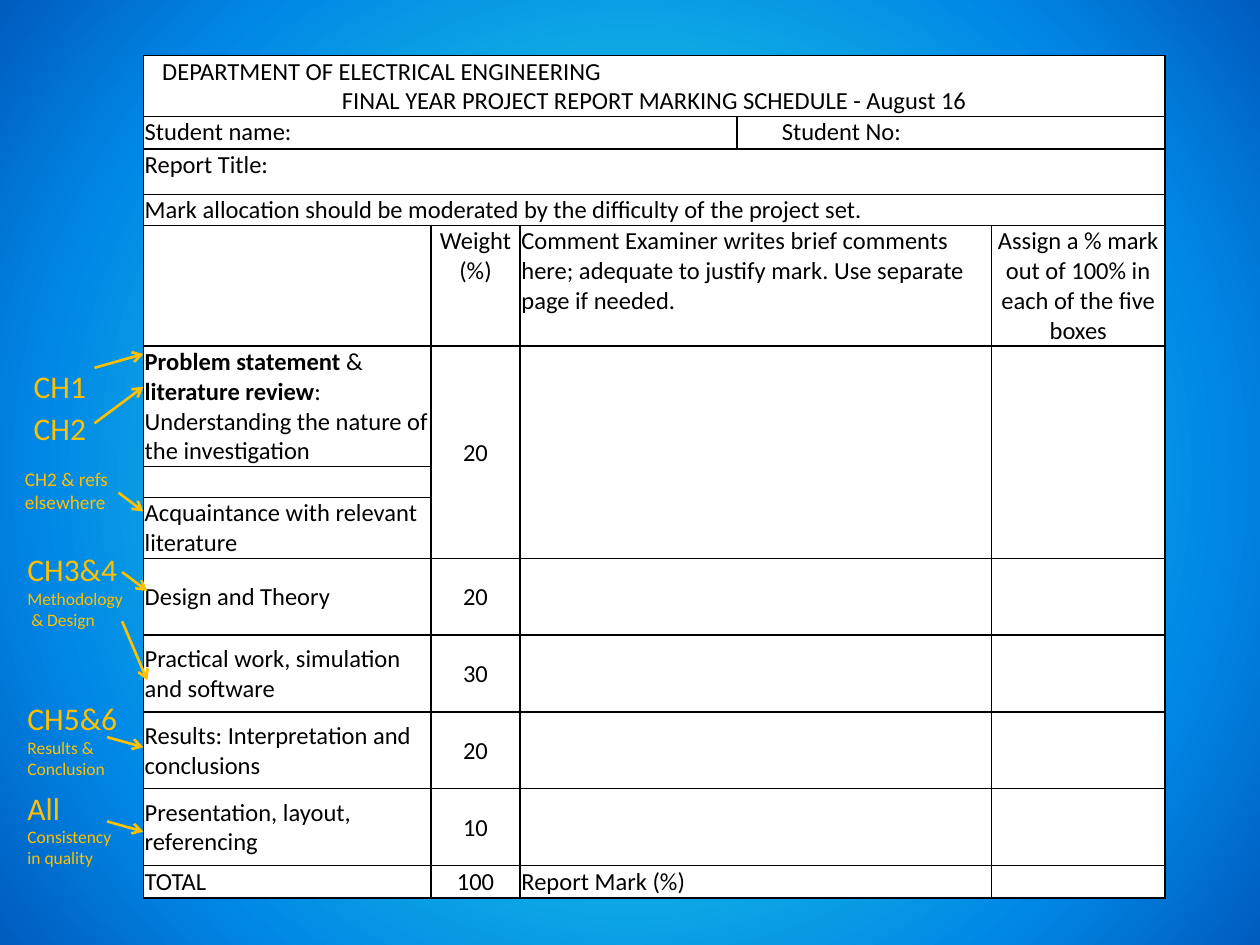
import copy

import lxml.etree
import pptx
import pptx.dml.color
import pptx.enum.shapes
import pptx.enum.text
import pptx.oxml
import pptx.oxml.ns
import pptx.util

Pt = pptx.util.Pt
qn = pptx.oxml.ns.qn
ALIGN = {"l": pptx.enum.text.PP_ALIGN.LEFT, "c": pptx.enum.text.PP_ALIGN.CENTER}
ANCHOR = {
    "t": pptx.enum.text.MSO_ANCHOR.TOP,
    "m": pptx.enum.text.MSO_ANCHOR.MIDDLE,
    "b": pptx.enum.text.MSO_ANCHOR.BOTTOM,
}
COLORS = {"ink": "000000", "paper": "FFFFFF", "note": "FFC000"}
GLOW = [(0, "03D4A8"), (25, "21D6E0"), (75, "0087E6"), (100, "005CBF")]


def tint(name):
    return pptx.dml.color.RGBColor.from_string(COLORS[name])


def write(para, text, size=14, color="ink", bold=False, align="l", indent=0):
    """Add text to a paragraph, with a line break at each newline."""
    para.alignment = ALIGN[align]
    if indent:
        para._p.get_or_add_pPr().set("marL", str(Pt(indent)))
    for i, part in enumerate(text.split("\n")):
        if i:
            para.add_line_break()
            para._p[-1].insert(0, copy.deepcopy(para._p[-2].find(qn("a:rPr"))))
        if part:
            run = para.add_run()
            run.text = part
            run.font.name, run.font.size, run.font.bold = "Calibri", Pt(size), bold
            run.font.color.rgb = tint(color)


class Sheet:
    """Holds the style and the current slide."""

    def __init__(self, deck):
        self.slide = deck.slides.add_slide(deck.slide_layouts[6])
        self.shapes = self.slide.shapes

    def backdrop(self, stops):
        self.slide.background.fill.gradient()
        grad = next(self.slide.element.iter(qn("a:gradFill")))
        for child in list(grad):
            grad.remove(child)
        group = lxml.etree.SubElement(grad, qn("a:gsLst"))
        for spot, color in stops:
            stop = lxml.etree.SubElement(group, qn("a:gs"), pos=str(spot * 1000))
            lxml.etree.SubElement(stop, qn("a:srgbClr"), val=color)
        ring = lxml.etree.SubElement(grad, qn("a:path"), path="circle")
        lxml.etree.SubElement(ring, qn("a:fillToRect"), l="50000", t="50000", r="50000", b="50000")

    def grid(self, left, top, cols, rows):
        frame = self.shapes.add_table(
            len(rows), len(cols), Pt(left), Pt(top), Pt(sum(cols)), Pt(sum(rows)))
        table = frame.table
        table.first_row = table.horz_banding = False
        for col, width in zip(table.columns, cols):
            col.width = Pt(width)
        for row, height in zip(table.rows, rows):
            row.height = Pt(height)
        for cell in table.iter_cells():
            self.dress(cell)
        return table

    def dress(self, cell):
        cell.fill.solid()
        cell.fill.fore_color.rgb = tint("paper")
        cell.margin_left = cell.margin_right = cell.margin_top = Pt(0.7)
        cell.margin_bottom = 0
        props = cell._tc.get_or_add_tcPr()
        for i, side in enumerate("LRTB"):
            edge = lxml.etree.Element(qn("a:ln" + side), w=str(Pt(1)))
            fill = lxml.etree.SubElement(edge, qn("a:solidFill"))
            lxml.etree.SubElement(fill, qn("a:srgbClr"), val=COLORS["ink"])
            props.insert(i, edge)
        para = cell.text_frame.paragraphs[0]._p
        lxml.etree.SubElement(para, qn("a:endParaRPr"), sz="1400")

    def fill(self, cell, *paras, anchor="t"):
        cell.vertical_anchor = ANCHOR[anchor]
        frame = cell.text_frame
        for i, runs in enumerate(paras):
            para = frame.add_paragraph() if i else frame.paragraphs[0]
            for text, form in runs:
                write(para, text, **form)

    def note(self, left, top, width, height, *paras):
        frame = self.shapes.add_textbox(Pt(left), Pt(top), Pt(width), Pt(height)).text_frame
        frame.word_wrap = False
        frame.auto_size = pptx.enum.text.MSO_AUTO_SIZE.SHAPE_TO_FIT_TEXT
        for i, runs in enumerate(paras):
            para = frame.add_paragraph() if i else frame.paragraphs[0]
            for text, size in runs:
                write(para, text, size=size, color="note")

    def arrow(self, *ends):
        line = self.shapes.add_connector(
            pptx.enum.shapes.MSO_CONNECTOR.STRAIGHT, *map(Pt, ends))
        line.line.color.rgb = tint("note")
        line.line.width = Pt(1.5)
        lxml.etree.SubElement(line.line._get_or_add_ln(), qn("a:tailEnd"), type="arrow")
        lxml.etree.SubElement(line._element.spPr, qn("a:effectLst"))


def main():
    deck = pptx.Presentation()
    deck.slide_width, deck.slide_height = Pt(720), Pt(540)
    sheet = Sheet(deck)
    sheet.backdrop(GLOW)

    cols = [164.2, 51.1, 123.8, 145.4, 99.4]
    rows = [27.4, 18.7, 25.9, 13, 37.4, 49.7, 11.5, 20.9] + [43.9] * 4 + [18.7]
    table = sheet.grid(82, 31.7, cols, rows)
    spans = [(0, 0, 0, 4), (1, 0, 1, 2), (1, 3, 1, 4), (2, 0, 2, 4), (3, 0, 3, 4),
             (4, 2, 4, 3), (5, 1, 7, 1), (5, 2, 7, 3), (5, 4, 7, 4)]
    spans += [(row, 2, row, 3) for row in range(8, 13)]
    for top, left, low, right in spans:
        table.cell(top, left).merge(table.cell(low, right))

    sheet.fill(
        table.cell(0, 0),
        [("DEPARTMENT OF ELECTRICAL ENGINEERING", {"indent": 10})],
        [("FINAL YEAR PROJECT REPORT MARKING SCHEDULE - August 16", {"align": "c"})],
        anchor="m")
    sheet.fill(
        table.cell(5, 0),
        [("Problem statement", {"bold": True}), (" & ", {}),
         ("literature review", {"bold": True}),
         (": Understanding the nature of the investigation", {})],
        anchor="b")
    plain = [
        (1, 0, "Student name:", "t", {}),
        (1, 3, "Student No:", "t", {"indent": 25}),
        (2, 0, "Report Title:", "t", {}),
        (3, 0, "Mark allocation should be moderated by the difficulty of the project set.", "t", {}),
        (4, 1, "Weight (%)", "t", {"align": "c"}),
        (4, 2, "Comment Examiner writes brief comments here; adequate to justify mark. "
               "Use separate page if needed.", "t", {}),
        (4, 4, "Assign a % mark out of 100% in each of the five boxes", "m", {"align": "c"}),
        (7, 0, "Acquaintance with relevant literature", "t", {}),
        (12, 2, "Report Mark (%)", "m", {}),
    ]
    for row, col, text, anchor, form in plain:
        sheet.fill(table.cell(row, col), [(text, form)], anchor=anchor)
    sheet.fill(table.cell(5, 1), [("20", {"align": "c"})], anchor="m")
    marks = [
        ("Design and Theory", "20"),
        ("Practical work, simulation and software", "30"),
        ("Results: Interpretation and conclusions", "20"),
        ("Presentation, layout, referencing", "10"),
        ("TOTAL", "100"),
    ]
    for row, (label, weight) in enumerate(marks, 8):
        sheet.fill(table.cell(row, 0), [(label, {})], anchor="m")
        sheet.fill(table.cell(row, 1), [(weight, {"align": "c"})], anchor="m")

    sheet.note(12.2, 205.9, 44.6, 29, [("CH1", 18)])
    sheet.note(12.2, 230.4, 44.6, 29, [("CH2", 18)])
    sheet.note(7.2, 263.5, 62.6, 34, [("CH2 & refs\nelsewhere", 11)])
    sheet.note(8.6, 311, 69.8, 53.3, [("CH3&4\n", 18), ("Methodology", 10)], [(" & Design", 10)])
    sheet.note(8.6, 396, 66.2, 53.3, [("CH5&6\n", 18), ("Results &", 10)], [("Conclusion", 10)])
    sheet.note(8.6, 447.1, 63.4, 53.3, [("All", 18)], [("Consistency\nin quality", 10)])

    for ends in [(54, 210.2, 82, 202.3), (54, 241.9, 82, 221), (67.7, 281.5, 82, 292.3),
                 (69.8, 326.9, 84.2, 337.7), (69.8, 355, 84.2, 388.8),
                 (61.2, 421.2, 82, 427), (61.2, 469.4, 82, 475.2)]:
        sheet.arrow(*ends)
    deck.save("out.pptx")


if __name__ == "__main__":
    main()
